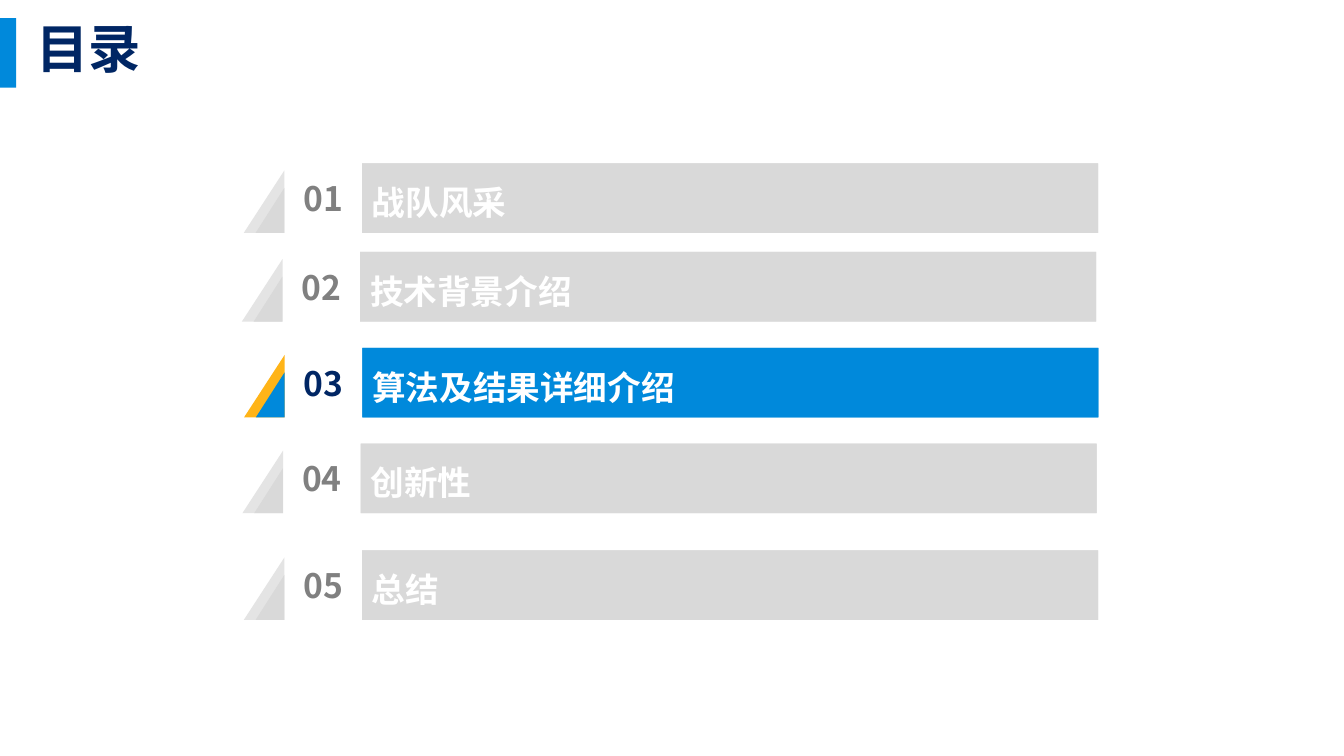
from pptx import Presentation
from pptx.dml.color import RGBColor
from pptx.enum.shapes import MSO_SHAPE
from pptx.enum.text import MSO_ANCHOR, PP_ALIGN
from pptx.util import Inches, Pt

WIDE, HIGH = Inches(13.33), Inches(7.5)
FONT = "Noto Sans CJK SC"
INK = {"navy": "002664", "blue": "0089DB", "gold": "FFB418", "white": "FFFFFF",
       "gray": "808080", "pale": "E4E4E4", "mist": "D9D9D9"}
ROW = 9.2
NUM = 5.78
BAR = 54.76
ITEMS = [
    ("战队风采", 21.16, 21.6),
    ("技术背景介绍", 21.02, 33.33),
    ("算法及结果详细介绍", 21.18, 46),
    ("创新性", 21.06, 58.67),
    ("总结", 21.16, 72.8),
]
ACTIVE = 3


def across(share):
    return round(WIDE * share / 100)


def down(share):
    return round(HIGH * share / 100)


def area(left, top, width, height):
    return across(left), down(top), across(width), down(height)


def paint(shape, color):
    shape.shadow.inherit = False
    shape.fill.solid()
    shape.fill.fore_color.rgb = RGBColor.from_string(INK[color])
    shape.line.fill.background()


def write(shape, text, size=24, color="white", align=PP_ALIGN.LEFT, lead=1.0, pad=None):
    frame = shape.text_frame
    frame.word_wrap = True
    frame.vertical_anchor = MSO_ANCHOR.MIDDLE
    if pad is not None:
        frame.margin_left = frame.margin_right = pad
        frame.margin_top = frame.margin_bottom = pad
    para = frame.paragraphs[0]
    para.alignment = align
    para.line_spacing = lead
    run = para.add_run()
    run.text = text
    run.font.name = FONT
    run.font.size = Pt(size)
    run.font.bold = True
    run.font.color.rgb = RGBColor.from_string(INK[color])


def block(shapes, box, color):
    shape = shapes.add_shape(MSO_SHAPE.RECTANGLE, *box)
    paint(shape, color)
    return shape


def outline(shapes, loops, color):
    loops = [[(across(x), down(y)) for x, y in loop] for loop in loops]
    pen = shapes.build_freeform(*loops[0][0], scale=1.0)
    for i, loop in enumerate(loops):
        if i:
            pen.move_to(*loop[0])
        pen.add_line_segments(loop[1:], close=True)
    paint(pen.convert_to_shape(), color)


def wedge(right, base, width, height):
    return [(right, base - height), (right, base), (right - width, base)]


def entry(slide, num, title, left, top):
    live = num == ACTIVE
    edge, main, ink = ("gold", "blue", "navy") if live else ("pale", "mist", "gray")
    shapes = slide.shapes.add_group_shape().shapes
    base, start = top + ROW, left + NUM
    end = start + BAR
    panel = [(start, top), (end, top), (end, base), (start, base)]
    outline(shapes, [wedge(left, base, 3.02, 8.27)], edge)
    outline(shapes, [wedge(left, base, 2.14, 5.95), panel], main)
    label = shapes.add_textbox(*area(left, top, NUM, ROW))
    write(label, f"{num:02}", color=ink, align=PP_ALIGN.CENTER, pad=0)
    write(block(shapes, area(start, top, BAR, ROW), main), title, lead=1.2)


def main():
    deck = Presentation()
    deck.slide_width, deck.slide_height = WIDE, HIGH
    slide = deck.slides.add_slide(deck.slide_layouts[6])
    block(slide.shapes, area(0, 2.4, 1.2, ROW), "blue")
    head = slide.shapes.add_textbox(*area(1.95, 2.2, 82.67, ROW))
    write(head, "目录", size=37.4, color="navy", lead=0.9)
    for num, item in enumerate(ITEMS, 1):
        entry(slide, num, *item)
    deck.save("out.pptx")


if __name__ == "__main__":
    main()
